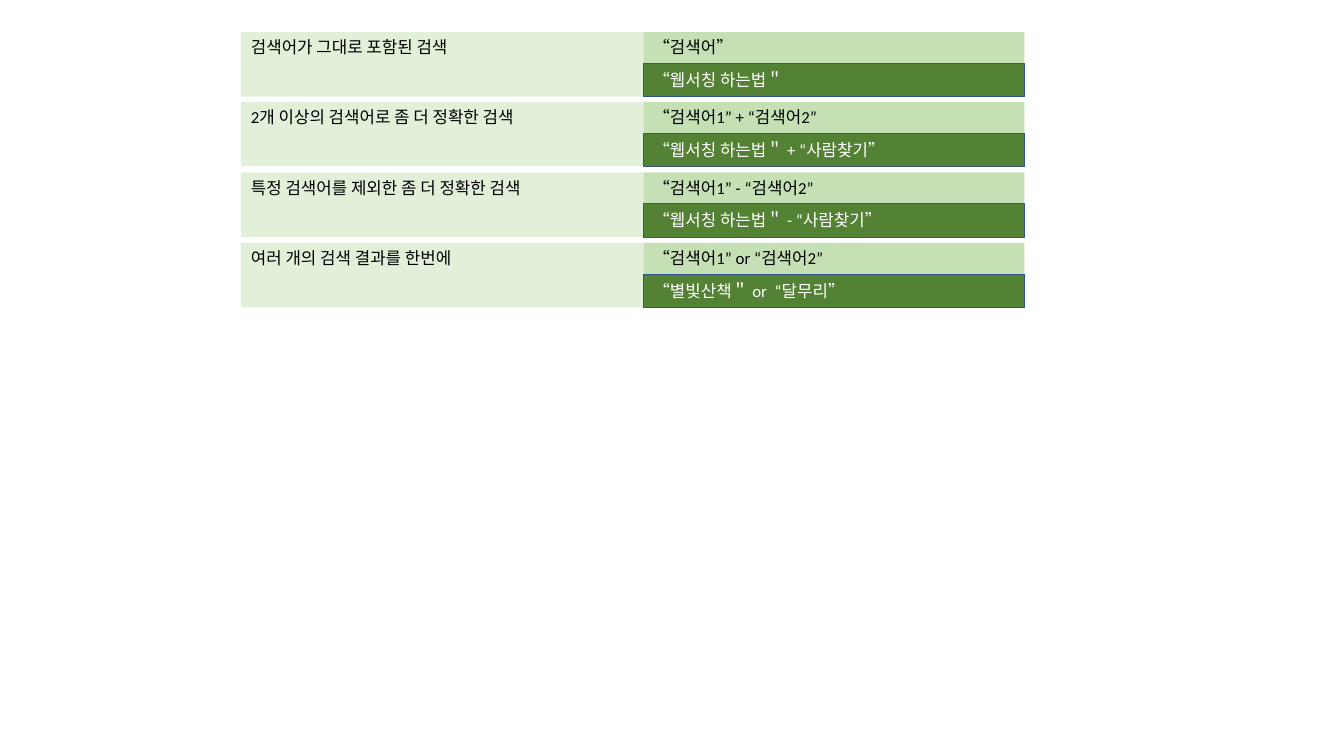
from pptx import Presentation
from pptx.dml.color import RGBColor
from pptx.enum.shapes import MSO_SHAPE
from pptx.enum.text import MSO_ANCHOR, MSO_AUTO_SIZE, PP_ALIGN
from pptx.util import Inches, Pt

# Content: top, purpose, search syntax, example
SEARCH_TIPS = [
    (0.32, "검색어가 그대로 포함된 검색", "“검색어”", "“웹서칭 하는법＂"),
    (1.01, "2개 이상의 검색어로 좀 더 정확한 검색", "“검색어1” + “검색어2”",
     "“웹서칭 하는법＂ + “사람찾기”"),
    (1.71, "특정 검색어를 제외한 좀 더 정확한 검색", "“검색어1” - “검색어2”",
     "“웹서칭 하는법＂ - “사람찾기”"),
    (2.41, "여러 개의 검색 결과를 한번에", "“검색어1” or “검색어2”",
     "“별빛산책＂ or  “달무리”"),
]
COLORS = {"purpose": "E2F0D9", "syntax": "C5E0B4", "example": "548235",
          "border": "325491", "dark": "000000", "light": "FFFFFF"}

# Layout
PURPOSE_X, PURPOSE_W = 2.39, 3.99
SYNTAX_X, SYNTAX_W = PURPOSE_X + PURPOSE_W, 3.78
ROW_H, LABEL_H, EXAMPLE_H = 0.64, 0.3, 0.33


def color(name):
    return RGBColor.from_string(COLORS[name])


def write(sp, text, ink="dark", anchor=MSO_ANCHOR.TOP, grow=False):
    tf = sp.text_frame
    tf.word_wrap = True
    tf.vertical_anchor = anchor
    if grow:
        tf.auto_size = MSO_AUTO_SIZE.SHAPE_TO_FIT_TEXT
    p = tf.paragraphs[0]
    p.alignment = PP_ALIGN.LEFT
    r = p.add_run()
    r.text = text
    r.font.name = "Calibri"
    r.font.size = Pt(12)
    r.font.color.rgb = color(ink)


def add_box(s, x, y, w, h, fill, border=None):
    sp = s.shapes.add_shape(MSO_SHAPE.RECTANGLE, *map(Inches, (x, y, w, h)))
    sp.shadow.inherit = False
    sp.fill.solid()
    sp.fill.fore_color.rgb = color(fill)
    if border:
        sp.line.color.rgb = color(border)
        sp.line.width = Pt(0.25)
    else:
        sp.line.fill.background()
    return sp


def add_label(s, x, y, w, text):
    sp = s.shapes.add_textbox(*map(Inches, (x, y, w, LABEL_H)))
    write(sp, text, grow=True)


def main():
    prs = Presentation()
    prs.slide_width, prs.slide_height = Inches(13.33), Inches(7.5)
    s = prs.slides.add_slide(prs.slide_layouts[6])

    for top, purpose, syntax, example in SEARCH_TIPS:
        # Background panels
        add_box(s, SYNTAX_X, top, SYNTAX_W, ROW_H, "syntax")
        add_box(s, PURPOSE_X, top, PURPOSE_W, ROW_H, "purpose")
        # Purpose and syntax
        add_label(s, PURPOSE_X, top, PURPOSE_W, purpose)
        add_label(s, SYNTAX_X, top, SYNTAX_W, syntax)
        # Example bar along the bottom of the row
        bar = add_box(s, SYNTAX_X, top + ROW_H - EXAMPLE_H, SYNTAX_W, EXAMPLE_H,
                      "example", border="border")
        write(bar, example, ink="light", anchor=MSO_ANCHOR.MIDDLE)

    prs.save("out.pptx")


if __name__ == "__main__":
    main()
